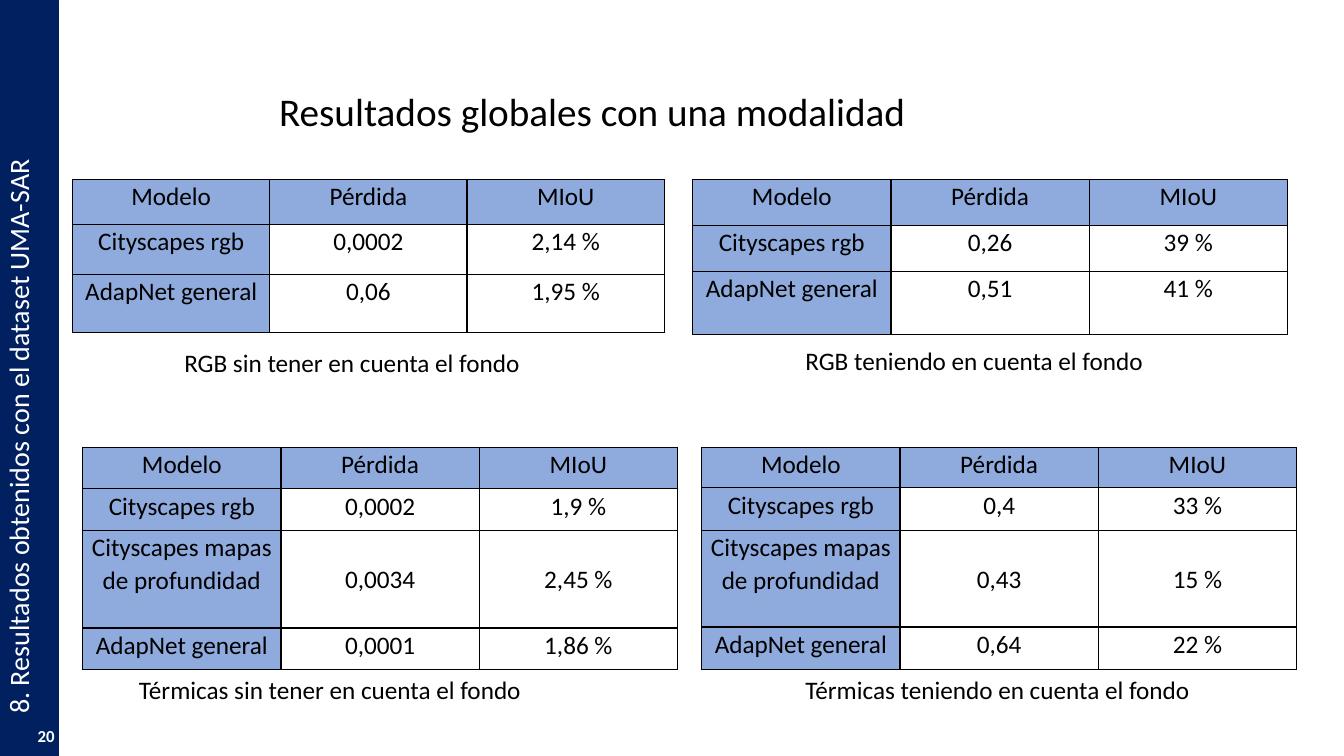
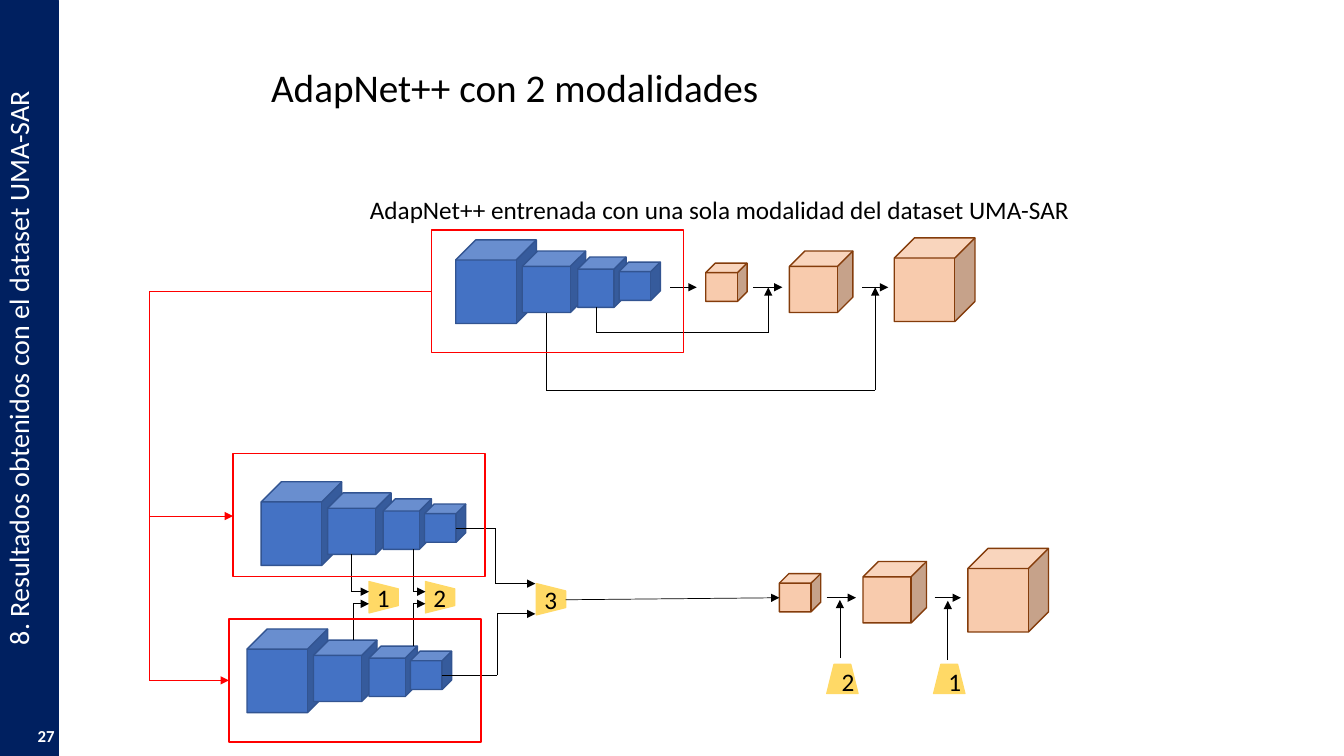
from itertools import pairwise

from lxml import etree
from pptx import Presentation
from pptx.dml.color import RGBColor
from pptx.enum.shapes import MSO_CONNECTOR, MSO_SHAPE
from pptx.enum.text import MSO_ANCHOR, PP_ALIGN
from pptx.oxml.ns import qn
from pptx.util import Inches, Pt

STRAIGHT = MSO_CONNECTOR.STRAIGHT
RECTANGLE, CUBE, TRAPEZOID = MSO_SHAPE.RECTANGLE, MSO_SHAPE.CUBE, MSO_SHAPE.TRAPEZOID
TOP, MIDDLE = MSO_ANCHOR.TOP, MSO_ANCHOR.MIDDLE
LEFT, CENTER, RIGHT = PP_ALIGN.LEFT, PP_ALIGN.CENTER, PP_ALIGN.RIGHT

FONT = "Calibri"
COLORS = {
    "band": "002060", "white": "FFFFFF", "black": "000000", "header": "8FAADC",
    "encoder": "4472C4", "encoder_edge": "325491",
    "decoder": "F8CBAD", "decoder_edge": "843C0B",
    "fusion": "FFD966", "frame": "FF0000",
}
SECTION = "8. Resultados obtenidos con el dataset UMA-SAR"

HEADINGS = ("Modelo", "Pérdida", "MIoU")
RGB, DEPTH, GENERAL = "Cityscapes rgb", "Cityscapes mapas de profundidad", "AdapNet general"
RESULTS = [
    {"at": (0.72, 1.78), "width": 5.87, "heights": (0.45, 0.49, 0.58),
     "rows": [(RGB, "0,0002", "2,14 %"), (GENERAL, "0,06", "1,95 %")],
     "caption": "RGB sin tener en cuenta el fondo", "caption_at": (1.73, 3.4)},
    {"at": (6.87, 1.78), "width": 5.9, "heights": (0.46, 0.45, 0.63),
     "rows": [(RGB, "0,26", "39 %"), (GENERAL, "0,51", "41 %")],
     "caption": "RGB teniendo en cuenta el fondo", "caption_at": (7.89, 3.38)},
    {"at": (0.82, 4.44), "width": 5.9, "heights": (0.41, 0.41, 0.97, 0.41),
     "rows": [(RGB, "0,0002", "1,9 %"), (DEPTH, "0,0034", "2,45 %"),
              (GENERAL, "0,0001", "1,86 %")],
     "caption": "Térmicas sin tener en cuenta el fondo", "caption_at": (1.28, 6.64)},
    {"at": (6.96, 4.44), "width": 5.9, "heights": (0.4, 0.42, 0.96, 0.42),
     "rows": [(RGB, "0,4", "33 %"), (DEPTH, "0,43", "15 %"), (GENERAL, "0,64", "22 %")],
     "caption": "Térmicas teniendo en cuenta el fondo", "caption_at": (7.89, 6.64)},
]

ENCODER_CUBES = [(0, 0, 0.8, 0.83), (0.66, 0.11, 0.63, 0.61),
                 (1.21, 0.17, 0.48, 0.5), (1.62, 0.22, 0.41, 0.38)]
DECODER_CUBES = [(0, 0, 0.41, 0.38), (0.83, -0.12, 0.63, 0.61), (1.87, -0.25, 0.8, 0.83)]
ENCODERS = [(4.52, 2.38), (2.59, 4.78), (2.45, 6.24)]
DECODERS = [(7, 2.61), (7.73, 5.69)]
FRAMES = [(4.28, 2.28), (2.31, 4.5), (2.27, 6.14)]
FRAME_SIZE = (2.5, 1.22)
FUSION_SIZE = (0.31, 0.29)
FUSION_INPUTS = [("1", 3.65, 5.78), ("2", 4.21, 5.78), ("3", 5.31, 5.8)]
FUSION_OUTPUTS = [("2", 8.2, 6.59), ("1", 9.26, 6.59)]
FLOWS = [
    [(6.65, 2.85), (6.91, 2.85)],
    [(7.47, 2.85), (7.76, 2.85)],
    [(8.55, 2.85), (8.81, 2.85)],
    [(5.42, 3.11), (5.42, 3.87), (8.68, 3.87), (8.68, 2.85)],
    [(5.91, 3.05), (5.91, 3.3), (7.62, 3.3), (7.62, 2.85)],
    [(3.48, 5.5), (3.48, 5.87), (3.66, 5.87)],
    [(3.5, 6.35), (3.5, 5.99), (3.66, 5.99)],
    [(4.1, 5.45), (4.1, 5.87), (4.22, 5.87)],
    [(4.1, 6.41), (4.1, 5.99), (4.22, 5.99)],
    [(4.52, 5.24), (4.91, 5.24), (4.91, 5.79), (5.31, 5.79)],
    [(4.38, 6.7), (4.93, 6.7), (4.93, 6.09), (5.31, 6.09)],
    [(5.61, 5.95), (7.73, 5.93)],
    [(8.2, 5.93), (8.49, 5.93)],
    [(9.27, 5.93), (9.53, 5.93)],
    [(8.33, 6.53), (8.33, 5.95)],
    [(9.4, 6.55), (9.4, 5.96)],
]
WEIGHT_TRANSFERS = [
    [(4.28, 2.89), (1.48, 2.89), (1.48, 6.75), (2.27, 6.75)],
    [(1.48, 5.12), (2.31, 5.12)],
]


def color(name):
    return RGBColor.from_string(COLORS[name])


def write(frame, text, size=18, ink="black", bold=False, align=LEFT, anchor=TOP, spacing=None):
    frame.word_wrap = True
    frame.vertical_anchor = anchor
    paragraph = frame.paragraphs[0]
    paragraph.alignment = align
    if spacing:
        paragraph.line_spacing = spacing
    run = paragraph.add_run()
    run.text = text
    run.font.name = FONT
    run.font.size = Pt(size)
    run.font.bold = bold
    run.font.color.rgb = color(ink)
    return paragraph


def add_text(slide, text, left, top, width, height=0.4, **style):
    box = slide.shapes.add_textbox(*map(Inches, (left, top, width, height)))
    write(box.text_frame, text, **style)


def add_figure(slide, preset, left, top, width, height, fill, edge, weight=1):
    figure = slide.shapes.add_shape(preset, *map(Inches, (left, top, width, height)))
    figure.shadow.inherit = False
    if fill:
        figure.fill.solid()
        figure.fill.fore_color.rgb = color(fill)
    else:
        figure.fill.background()
    figure.line.color.rgb = color(edge)
    figure.line.width = Pt(weight)
    return figure


def add_arrow(slide, points, ink):
    for start, end in pairwise(points):
        segment = slide.shapes.add_connector(STRAIGHT, *map(Inches, start + end))
        segment.line.color.rgb = color(ink)
        segment.line.width = Pt(0.5)
        properties = segment.element.spPr
        if end == points[-1]:
            etree.SubElement(properties.find(qn("a:ln")), qn("a:tailEnd"), type="triangle")
        etree.SubElement(properties, qn("a:effectLst"))


def add_cubes(slide, origin, cubes, kind):
    for dx, dy, width, height in cubes:
        add_figure(slide, CUBE, origin[0] + dx, origin[1] + dy, width, height,
                   kind, f"{kind}_edge")


def add_borders(cell):
    properties = cell._tc.get_or_add_tcPr()
    for side in ("lnL", "lnR", "lnT", "lnB"):
        border = etree.SubElement(properties, qn(f"a:{side}"), w=str(Pt(1)))
        fill = etree.SubElement(border, qn("a:solidFill"))
        etree.SubElement(fill, qn("a:srgbClr"), val=COLORS["black"])


def add_results(slide, result):
    rows = [HEADINGS] + result["rows"]
    heights = result["heights"]
    size = (result["width"], sum(heights))
    table = slide.shapes.add_table(len(rows), len(HEADINGS),
                                   *map(Inches, result["at"] + size)).table
    table.first_row = table.horz_banding = False
    for column in table.columns:
        column.width = Inches(result["width"] / len(HEADINGS))
    for r, values in enumerate(rows):
        table.rows[r].height = Inches(heights[r])
        for c, value in enumerate(values):
            cell = table.cell(r, c)
            cell.margin_left = cell.margin_right = Inches(0.07)
            cell.margin_top = cell.margin_bottom = 0
            paragraph = write(cell.text_frame, value, align=CENTER, spacing=1.07)
            paragraph.space_after = Pt(8)
            cell.vertical_anchor = MIDDLE if c and values[0] == DEPTH else TOP
            add_borders(cell)
            if r == 0 or c == 0:
                cell.fill.solid()
                cell.fill.fore_color.rgb = color("header")
            else:
                cell.fill.background()
    add_text(slide, result["caption"], *result["caption_at"], 5.4)


def add_page(deck, title, title_at, number, section_indent):
    slide = deck.slides.add_slide(deck.slide_layouts[6])
    band = add_figure(slide, RECTANGLE, -3.46, 3.46, 7.5, 0.58, "band", "band", 0.75)
    band.rotation = 270
    band.text_frame.margin_left = Inches(section_indent)
    write(band.text_frame, SECTION, size=20, ink="white", spacing=0.9)
    add_text(slide, number, 0, 7.1, 0.64, size=12, ink="white", bold=True,
             align=RIGHT, anchor=MIDDLE)
    add_text(slide, title, *title_at, 9.75, 1.45, size=28, anchor=MIDDLE, spacing=0.9)
    return slide


def add_network(slide):
    for origin in ENCODERS:
        add_cubes(slide, origin, ENCODER_CUBES, "encoder")
    for origin in DECODERS:
        add_cubes(slide, origin, DECODER_CUBES, "decoder")
    for label, left, top in FUSION_INPUTS:
        fusion = add_figure(slide, TRAPEZOID, left, top, *FUSION_SIZE, "fusion", "fusion")
        fusion.rotation = 90
    for label, left, top in FUSION_OUTPUTS:
        fusion = add_figure(slide, TRAPEZOID, left, top, *FUSION_SIZE, "fusion", "fusion")
        write(fusion.text_frame, label, align=CENTER, anchor=MIDDLE)
    for points in FLOWS:
        add_arrow(slide, points, "black")
    for label, left, top in FUSION_INPUTS:
        add_text(slide, label, left - 0.01, top - 0.05, 0.3)
    add_text(slide, "AdapNet++ entrenada con una sola modalidad del dataset UMA-SAR",
             3.57, 1.88, 7.31)
    for corner in FRAMES:
        add_figure(slide, RECTANGLE, *corner, *FRAME_SIZE, None, "frame")
    for points in WEIGHT_TRANSFERS:
        add_arrow(slide, points, "frame")


def main():
    deck = Presentation()
    deck.slide_width, deck.slide_height = Inches(13.33), Inches(7.5)
    results_page = add_page(deck, "Resultados globales con una modalidad",
                            (2.67, 0.4), "20", 0.42)
    for result in RESULTS:
        add_results(results_page, result)
    network_page = add_page(deck, "AdapNet++ con 2 modalidades", (2.59, 0.17), "27", 1.1)
    add_network(network_page)
    deck.save("out.pptx")


if __name__ == "__main__":
    main()
